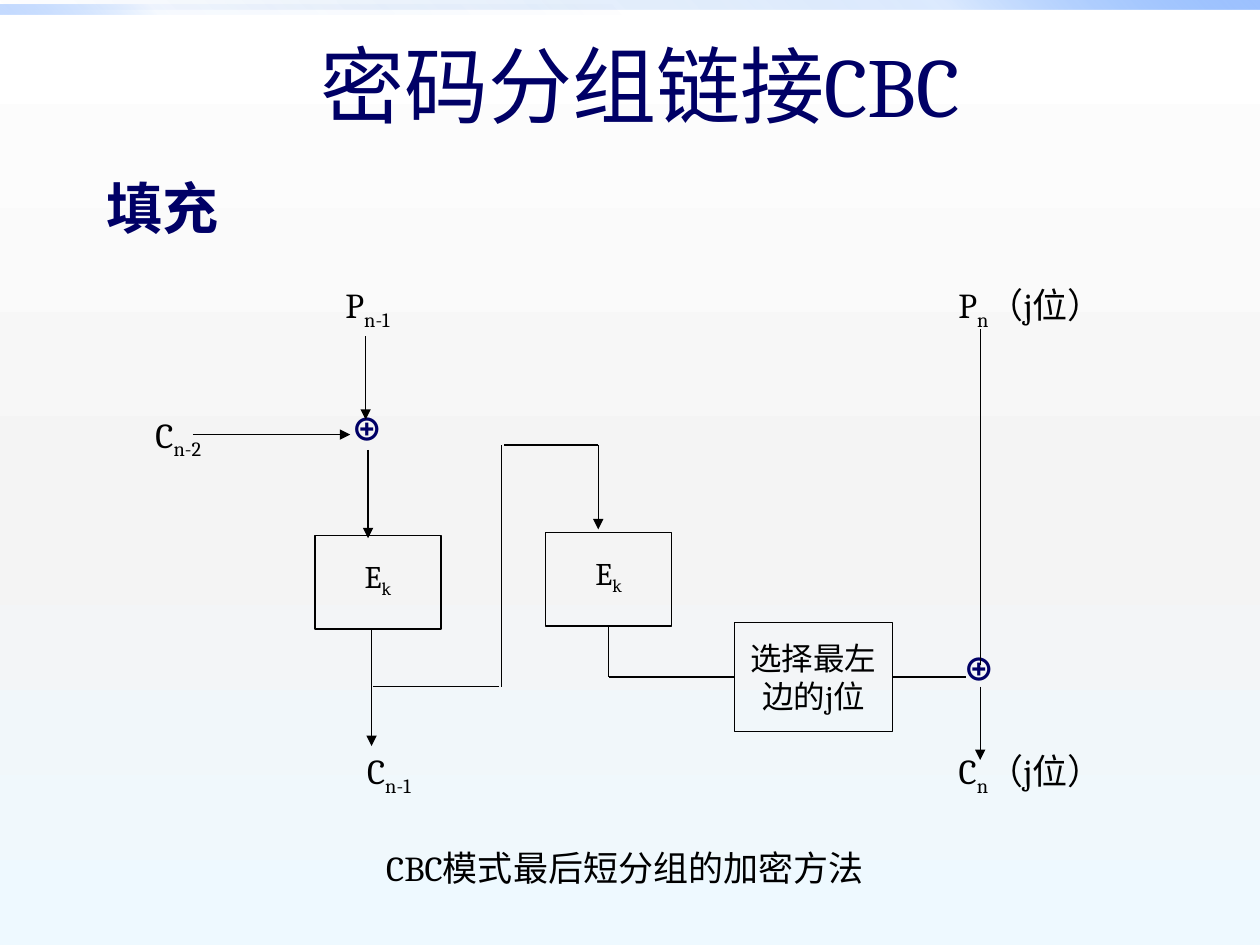
from dataclasses import dataclass
from typing import NamedTuple

import pptx
import pptx.dml.color
import pptx.enum.shapes
import pptx.enum.text
import pptx.oxml
import pptx.oxml.ns
import pptx.util
from lxml import etree

Cm = pptx.util.Cm
qn = pptx.oxml.ns.qn
TOP = pptx.enum.text.MSO_ANCHOR.TOP
MIDDLE = pptx.enum.text.MSO_ANCHOR.MIDDLE
LEFT = pptx.enum.text.PP_ALIGN.LEFT
CENTER = pptx.enum.text.PP_ALIGN.CENTER
NO_FIT = pptx.enum.text.MSO_AUTO_SIZE.NONE
GROW = pptx.enum.text.MSO_AUTO_SIZE.SHAPE_TO_FIT_TEXT
RECTANGLE = pptx.enum.shapes.MSO_SHAPE.RECTANGLE
STRAIGHT = pptx.enum.shapes.MSO_CONNECTOR.STRAIGHT


@dataclass(frozen=True)
class Theme:
    serif: str = "Cambria"
    sans: str = "Noto Sans CJK SC"
    navy: str = "000066"
    black: str = "000000"
    title: int = 48
    heading: int = 32
    label: int = 20
    block: int = 18
    line: float = 0.75
    backdrop: tuple = ((0, "FFFFFF", 100), (55, "F4F4F4", 100), (100, "EEF9FF", 100))
    top_bar: tuple = ((0, "0058B7", 0), (75, "4F95FF", 20), (100, "9EC2FF", 100))
    left_bar: tuple = ((0, "0058B7", 0), (75, "4F95FF", 5), (100, "9EC2FF", 60))


THEME = Theme()


class Box(NamedTuple):
    left: float
    top: float
    width: float
    height: float

    def lengths(self) -> list:
        return [Cm(value) for value in self]


class Label(NamedTuple):
    box: Box
    base: str
    subscript: str = ""
    suffix: str = ""


class Block(NamedTuple):
    box: Box
    base: str
    subscript: str
    inset: float


class Wire(NamedTuple):
    x1: float
    y1: float
    x2: float
    y2: float
    arrow: bool = False


LABELS = [
    Label(Box(5.72, 5.72, 3.38, 0.84), "P", "n-1"),
    Label(Box(2.54, 8.33, 2.11, 0.84), "C", "n-2"),
    Label(Box(6.15, 15.11, 3.38, 0.84), "C", "n-1"),
    Label(Box(18.87, 5.72, 3.81, 0.84), "P", "n", "（j位）"),
    Label(Box(18.87, 15.11, 3.81, 0.84), "C", "n", "（j位）"),
]
XOR_BOXES = [Box(5.72, 8.26, 3.38, 1.02), Box(19.18, 13.11, 1.07, 1.02)]
FIRST_CIPHER = Block(Box(6.35, 10.8, 2.54, 1.88), "E", "k", 0.42)
SECOND_CIPHER = Block(Box(11, 10.74, 2.54, 1.88), "E", "k", 0.42)
SELECTION = Block(Box(14.81, 12.55, 3.18, 2.2), "选择最左边的j位", "", 0.33)
WIRES = [
    Wire(7.37, 6.78, 7.37, 8.46, True),
    Wire(7.42, 9.07, 7.42, 10.85, True),
    Wire(3.89, 8.76, 7.06, 8.76, True),
    Wire(7.49, 12.7, 7.49, 15.04, True),
    Wire(7.52, 13.84, 10.06, 13.84),
    Wire(10.11, 13.84, 10.11, 8.97),
    Wire(10.16, 8.97, 12.06, 8.97),
    Wire(12.06, 8.97, 12.06, 10.67, True),
    Wire(19.76, 6.63, 19.76, 13.41),
    Wire(19.76, 13.84, 19.76, 15.32, True),
]


def rgb(value: str):
    return pptx.dml.color.RGBColor.from_string(value)


def paint_gradient(fill, owner, stops: tuple, angle: int) -> None:
    fill.gradient()
    gradient = owner.find(".//" + qn("a:gradFill"))
    stop_list = gradient.find(qn("a:gsLst"))
    for old_stop in list(stop_list):
        stop_list.remove(old_stop)
    for position, color, opacity in stops:
        stop = etree.SubElement(stop_list, qn("a:gs"), pos=str(position * 1000))
        tint = etree.SubElement(stop, qn("a:srgbClr"), val=color)
        if opacity < 100:
            etree.SubElement(tint, qn("a:alpha"), val=str(opacity * 1000))
    gradient.find(qn("a:lin")).set("ang", str(angle * 60000))


def add_bar(slide, box: Box, stops: tuple, angle: int) -> None:
    bar = slide.shapes.add_shape(RECTANGLE, *box.lengths())
    bar.shadow.inherit = False
    bar.line.fill.background()
    paint_gradient(bar.fill, bar._element.spPr, stops, angle)


def style(paragraph, size: int, color: str, face: str, bold: bool = False, align=CENTER) -> None:
    paragraph.alignment = align
    paragraph.space_before = pptx.util.Pt(0)
    font = paragraph.font
    font.name, font.size, font.bold = face, pptx.util.Pt(size), bold
    font.color.rgb = rgb(color)


def fill_placeholder(placeholder, box: Box, text: str, anchor):
    placeholder.left, placeholder.top, placeholder.width, placeholder.height = box.lengths()
    frame = placeholder.text_frame
    frame.text = text
    frame.auto_size = NO_FIT
    frame.vertical_anchor = anchor
    return frame.paragraphs[0]


def write(frame, base: str, subscript: str = "", suffix: str = "", inset: float = 0):
    frame.word_wrap = True
    frame.auto_size = GROW
    frame.vertical_anchor = TOP
    frame.margin_top = frame.margin_bottom = Cm(inset)
    paragraph = frame.paragraphs[0]
    for text, baseline in ((base, 0), (subscript, -25000), (suffix, 0)):
        if text:
            run = paragraph.add_run()
            run.text = text
            if baseline:
                run._r.get_or_add_rPr().set("baseline", str(baseline))
    return paragraph


def add_label(slide, label: Label, inset: float = 0) -> None:
    frame = slide.shapes.add_textbox(*label.box.lengths()).text_frame
    paragraph = write(frame, label.base, label.subscript, label.suffix, inset)
    style(paragraph, THEME.label, THEME.black, THEME.serif)


def add_xor(slide, box: Box) -> None:
    frame = slide.shapes.add_textbox(*box.lengths()).text_frame
    style(write(frame, "⊕"), THEME.block, THEME.navy, THEME.sans, True)


def add_block(slide, block: Block):
    shape = slide.shapes.add_shape(RECTANGLE, *block.box.lengths())
    shape.shadow.inherit = False
    shape.fill.background()
    shape.line.color.rgb = rgb(THEME.black)
    shape.line.width = pptx.util.Pt(THEME.line)
    paragraph = write(shape.text_frame, block.base, block.subscript, inset=block.inset)
    style(paragraph, THEME.block, THEME.black, THEME.serif)
    return shape


def add_wire(slide, wire: Wire):
    ends = [Cm(value) for value in wire[:4]]
    connector = slide.shapes.add_connector(STRAIGHT, *ends)
    connector.line.color.rgb = rgb(THEME.black)
    connector.line.width = pptx.util.Pt(THEME.line)
    if wire.arrow:
        etree.SubElement(connector.line._get_or_add_ln(), qn("a:tailEnd"), type="triangle")
    etree.SubElement(connector._element.spPr, qn("a:effectLst"))
    return connector


def main() -> None:
    deck = pptx.Presentation()
    deck.slide_width, deck.slide_height = Cm(25.4), Cm(19.05)
    slide = deck.slides.add_slide(deck.slide_layouts[1])
    paint_gradient(slide.background.fill, slide._element, THEME.backdrop, 90)
    add_bar(slide, Box(0, 0, 25.4, 0.2), THEME.top_bar, 315)
    add_bar(slide, Box(0, 0.1, 12.7, 0.2), THEME.left_bar, 135)

    title = fill_placeholder(slide.shapes.title, Box(2.11, 0.64, 21.59, 2.11), "密码分组链接CBC", MIDDLE)
    style(title, THEME.title, THEME.navy, THEME.serif)
    heading = fill_placeholder(slide.placeholders[1], Box(1.9, 3.38, 21.59, 1.7), "填充", TOP)
    properties = heading._p.get_or_add_pPr()
    properties.set("marL", str(Cm(0.97)))
    properties.set("indent", str(-Cm(0.97)))
    etree.SubElement(properties, qn("a:buNone"))
    style(heading, THEME.heading, THEME.navy, THEME.sans, True, LEFT)

    for label in LABELS:
        add_label(slide, label)
    add_label(slide, Label(Box(7.42, 16.94, 10.36, 1.12), "CBC模式最后短分组的加密方法"), 0.13)
    for box in XOR_BOXES:
        add_xor(slide, box)
    add_block(slide, FIRST_CIPHER)
    second_cipher = add_block(slide, SECOND_CIPHER)
    selection = add_block(slide, SELECTION)
    for wire in WIRES:
        add_wire(slide, wire)
    add_wire(slide, Wire(12.27, 12.62, 12.27, 13.65)).begin_connect(second_cipher, 2)
    add_wire(slide, Wire(12.27, 13.65, 14.81, 13.65)).end_connect(selection, 1)
    add_wire(slide, Wire(17.99, 13.65, 19.48, 13.65)).begin_connect(selection, 3)
    deck.save("out.pptx")


if __name__ == "__main__":
    main()
